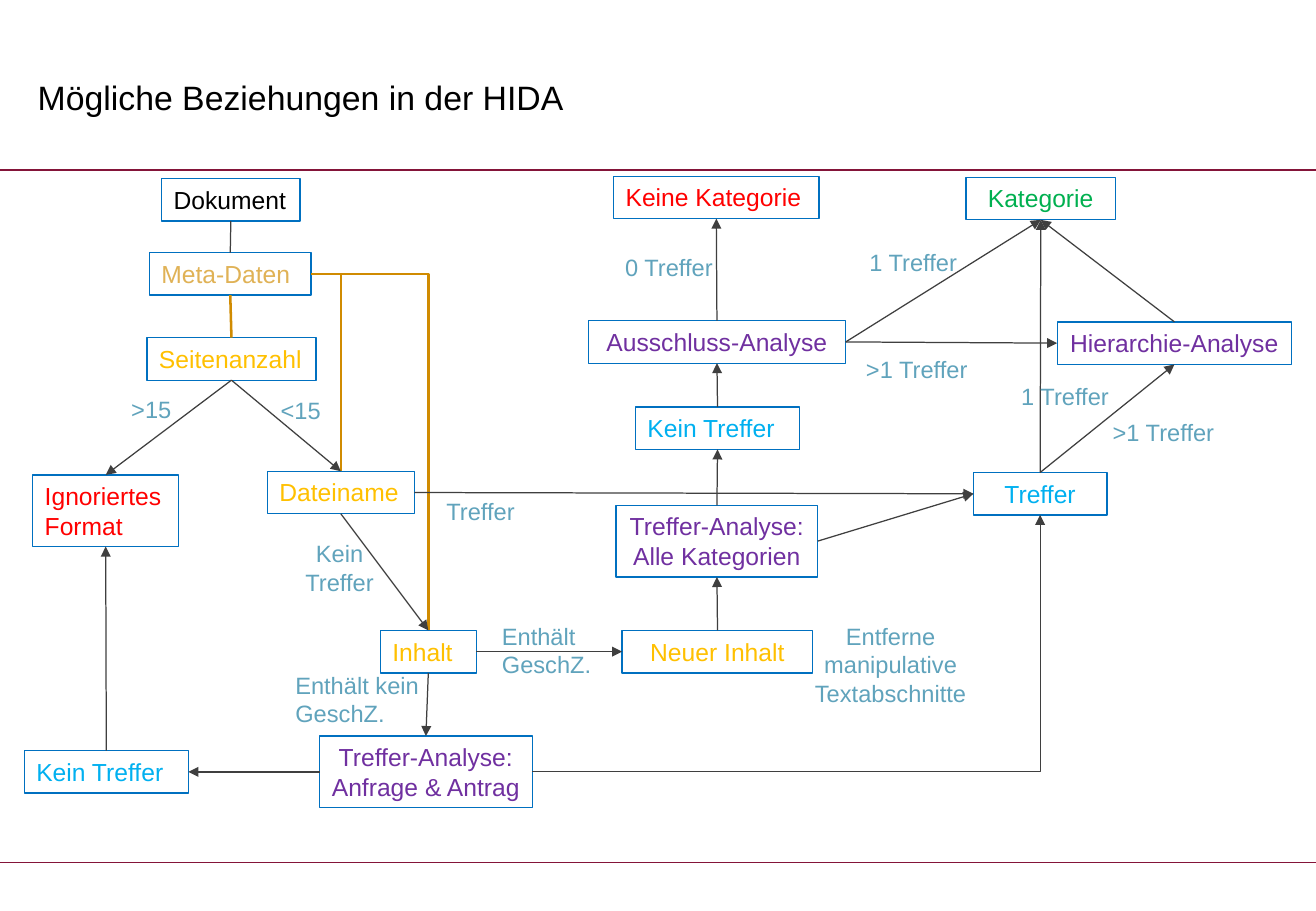
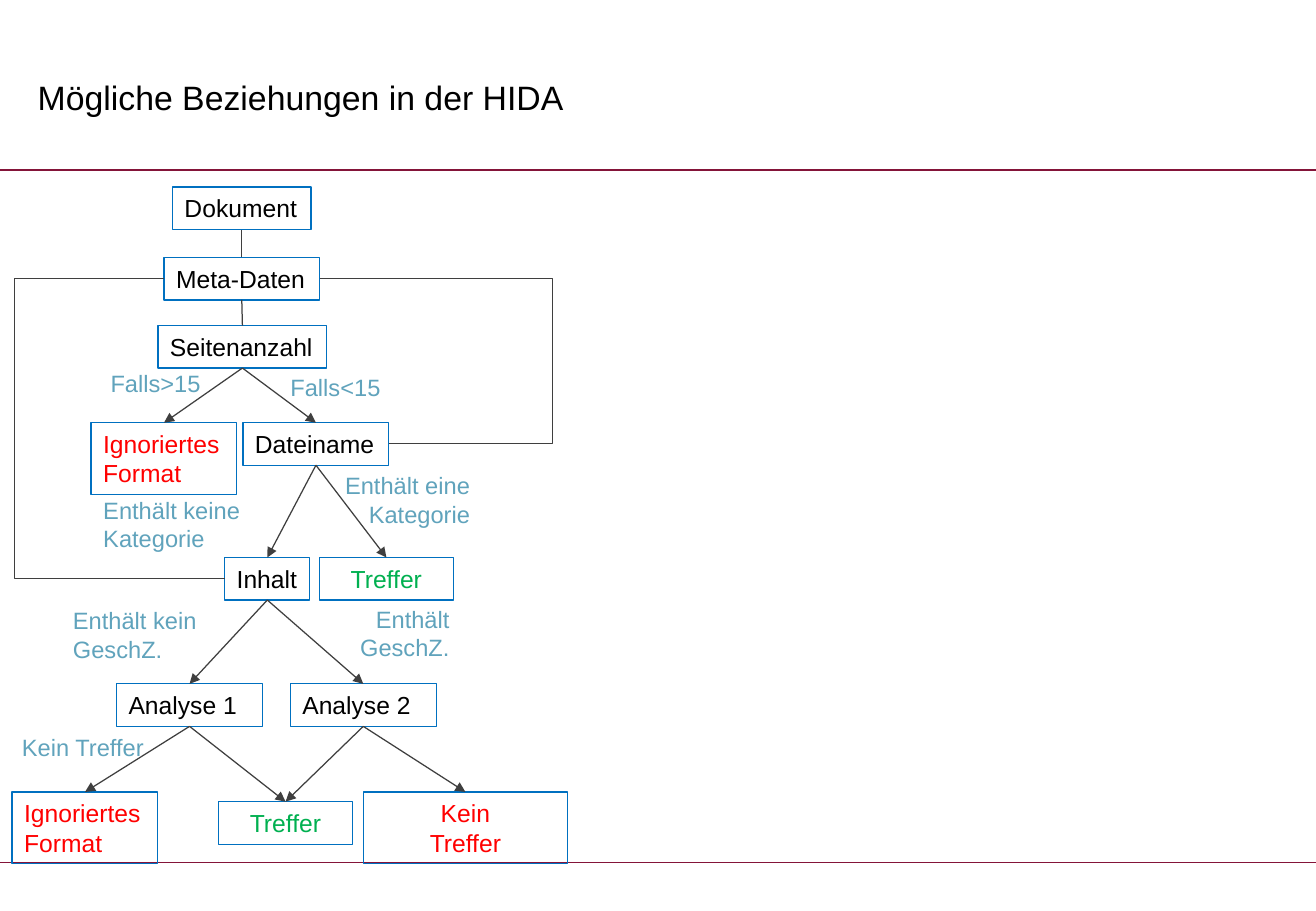
from copy import deepcopy
from dataclasses import dataclass

from lxml.etree import SubElement
from pptx import Presentation
from pptx.dml.color import RGBColor
from pptx.enum.shapes import MSO_CONNECTOR, MSO_SHAPE
from pptx.enum.text import MSO_ANCHOR, MSO_AUTO_SIZE, PP_ALIGN
from pptx.oxml.ns import qn
from pptx.util import Inches, Pt


@dataclass(frozen=True)
class Theme:
    font: str = "Arial"
    title_size: float = 20
    node_size: float = 14.6
    label_size: float = 14
    thin: float = 0.75
    thick: float = 1.5
    black: str = "000000"
    rule: str = "841439"
    border: str = "0070C0"
    edge: str = "3F3F3F"
    gold: str = "D08B01"
    sand: str = "E0B256"
    amber: str = "FFC000"
    red: str = "FF0000"
    green: str = "00B050"
    sky: str = "00B0F0"
    purple: str = "7030A0"
    label: str = "60A3BC"


T = Theme()
WIDTH, HEIGHT = 10.83, 7.5
RULES_Y = (7.1, 1.4)
NODE_HEIGHTS = {1: 0.35, 2: 0.59}
ALIGN = {"l": PP_ALIGN.LEFT, "c": PP_ALIGN.CENTER, "r": PP_ALIGN.RIGHT}
# Connection sites of a rectangle: index, then share of width and height
SITES = {"top": (0, 0.5, 0), "left": (1, 0, 0.5),
         "bottom": (2, 0.5, 1), "right": (3, 1, 0.5)}
TITLE = "Mögliche Beziehungen in der HIDA"

ARROW = {"arrow": True}
CORNER = {"corner": True}
GOLD = {"color": T.gold, "width": T.thick}

# nodes: key -> text, left, top, width, colour, alignment
# edges: start node, side, end node, side, format
# labels: text, left, top, width, alignment
SLIDES = [
    {
        "nodes": {
            "doc": ("Dokument", 1.33, 1.47, 1.14, T.black, "l"),
            "meta": ("Meta-Daten", 1.23, 2.08, 1.33, T.sand, "l"),
            "pages": ("Seitenanzahl", 1.21, 2.78, 1.39, T.amber, "l"),
            "ignored": ("Ignoriertes\nFormat", 0.27, 3.91, 1.2, T.red, "l"),
            "file": ("Dateiname", 2.2, 3.88, 1.21, T.amber, "l"),
            "content": ("Inhalt", 3.13, 5.19, 0.79, T.amber, "l"),
            "request": ("Treffer-Analyse:\nAnfrage & Antrag", 2.63, 6.06, 1.75, T.purple, "c"),
            "miss": ("Kein Treffer", 0.2, 6.18, 1.35, T.sky, "l"),
            "new": ("Neuer Inhalt", 5.12, 5.19, 1.57, T.amber, "c"),
            "all": ("Treffer-Analyse:\nAlle Kategorien", 5.07, 4.16, 1.66, T.purple, "c"),
            "all_miss": ("Kein Treffer", 5.23, 3.35, 1.35, T.sky, "l"),
            "exclusion": ("Ausschluss-Analyse", 4.84, 2.64, 2.12, T.purple, "c"),
            "no_category": ("Keine Kategorie", 5.05, 1.45, 1.69, T.red, "l"),
            "hit": ("Treffer", 8.01, 3.89, 1.1, T.sky, "c"),
            "hierarchy": ("Hierarchie-Analyse", 8.7, 2.65, 1.93, T.purple, "c"),
            "category": ("Kategorie", 7.95, 1.46, 1.23, T.green, "c"),
        },
        "edges": [
            ("meta", "top", "doc", "bottom", {}),
            ("pages", "top", "meta", "bottom", GOLD),
            ("meta", "right", "file", "top", GOLD | CORNER),
            ("meta", "right", "content", "top", GOLD | CORNER),
            ("pages", "bottom", "ignored", "top", ARROW),
            ("pages", "bottom", "file", "top", ARROW),
            ("file", "bottom", "content", "top", ARROW),
            ("file", "right", "hit", "left", ARROW),
            ("content", "bottom", "request", "top", ARROW),
            ("content", "right", "new", "left", ARROW),
            ("request", "right", "hit", "bottom", ARROW | CORNER),
            ("request", "left", "miss", "right", ARROW),
            ("miss", "top", "ignored", "bottom", ARROW),
            ("new", "top", "all", "bottom", ARROW),
            ("all", "right", "hit", "left", ARROW),
            ("all", "top", "all_miss", "bottom", ARROW),
            ("all_miss", "top", "exclusion", "bottom", ARROW),
            ("exclusion", "top", "no_category", "bottom", ARROW),
            ("exclusion", "right", "category", "bottom", ARROW),
            ("exclusion", "right", "hierarchy", "left", ARROW),
            ("hit", "top", "hierarchy", "bottom", ARROW),
            ("hit", "top", "category", "bottom", ARROW),
            ("hierarchy", "top", "category", "bottom", ARROW),
        ],
        "labels": [
            (">15", 1.08, 3.25, 0.38, "l"),
            ("<15", 2.31, 3.26, 0.38, "l"),
            ("Enthält kein\nGeschZ.", 2.43, 5.52, 1.09, "l"),
            ("Enthält\nGeschZ.", 4.13, 5.12, 0.79, "l"),
            ("Kein\nTreffer", 2.18, 4.44, 1.23, "c"),
            ("Treffer", 3.34, 4.09, 1.23, "c"),
            ("Entferne\nmanipulative\nTextabschnitte", 6.68, 5.12, 1.3, "c"),
            ("0 Treffer", 4.89, 2.08, 1.23, "c"),
            ("1 Treffer", 6.9, 2.04, 1.23, "c"),
            (">1 Treffer", 6.93, 2.92, 1.23, "c"),
            ("1 Treffer", 8.15, 3.14, 1.23, "c"),
            (">1 Treffer", 8.96, 3.44, 1.23, "c"),
        ],
    },
    {
        "nodes": {
            "doc": ("Dokument", 1.42, 1.54, 1.14, T.black, "l"),
            "meta": ("Meta-Daten", 1.35, 2.12, 1.28, T.black, "l"),
            "pages": ("Seitenanzahl", 1.3, 2.68, 1.39, T.black, "l"),
            "ignored": ("Ignoriertes\nFormat", 0.75, 3.48, 1.2, T.red, "l"),
            "file": ("Dateiname", 2, 3.48, 1.2, T.black, "l"),
            "content": ("Inhalt", 1.85, 4.59, 0.7, T.black, "l"),
            "hit": ("Treffer", 2.63, 4.59, 1.1, T.green, "c"),
            "first": ("Analyse 1", 0.96, 5.63, 1.2, T.black, "l"),
            "second": ("Analyse 2", 2.39, 5.63, 1.2, T.black, "l"),
            "first_miss": ("Ignoriertes\nFormat", 0.1, 6.52, 1.2, T.red, "l"),
            "both_hit": ("Treffer", 1.8, 6.6, 1.1, T.green, "c"),
            "second_miss": ("Kein\nTreffer", 2.99, 6.52, 1.68, T.red, "c"),
        },
        "edges": [
            ("meta", "top", "doc", "bottom", {}),
            ("pages", "top", "meta", "bottom", {}),
            ("meta", "right", "file", "right", {"via_x": 4.55}),
            ("meta", "left", "content", "left", {"via_x": 0.12}),
            ("pages", "bottom", "ignored", "top", ARROW),
            ("pages", "bottom", "file", "top", ARROW),
            ("file", "bottom", "content", "top", ARROW),
            ("file", "bottom", "hit", "top", ARROW),
            ("content", "bottom", "first", "top", ARROW),
            ("content", "bottom", "second", "top", ARROW),
            ("first", "bottom", "first_miss", "top", ARROW),
            ("first", "bottom", "both_hit", "top", ARROW),
            ("second", "bottom", "both_hit", "top", ARROW),
            ("second", "bottom", "second_miss", "top", ARROW),
        ],
        "labels": [
            ("Falls>15", 0.91, 3.04, 1, "l"),
            ("Falls<15", 2.39, 3.07, 1, "l"),
            ("Enthält keine\nKategorie", 0.85, 4.08, 1.2, "l"),
            ("Enthält eine\nKategorie", 2.81, 3.88, 1.06, "r"),
            ("Enthält kein\nGeschZ.", 0.6, 4.99, 1.09, "l"),
            ("Enthält\nGeschZ.", 2.91, 4.98, 0.79, "r"),
            ("Kein Treffer", 0.18, 6.03, 1.09, "l"),
        ],
    },
]


def set_text(tf, text, *, size, color, align="l", before=0, spacing=None):
    tf.word_wrap = True
    p = tf.paragraphs[0]
    p.text = text
    p.alignment = ALIGN[align]
    p.space_before = Pt(before)
    if spacing:
        p.line_spacing = spacing
    for r in p.runs:
        r.font.name = T.font
        r.font.size = Pt(size)
        r.font.color.rgb = RGBColor.from_string(color)
    for br in p._p.findall(qn("a:br")):
        br.append(deepcopy(p.runs[0]._r.rPr))


def clear_insets(tf):
    tf.margin_left = tf.margin_right = tf.margin_top = tf.margin_bottom = 0


def style_line(connector, color, width, arrow=False):
    connector.line.color.rgb = RGBColor.from_string(color)
    connector.line.width = Pt(width)
    if arrow:
        SubElement(connector.line._get_or_add_ln(), qn("a:tailEnd"), type="triangle")
    SubElement(connector._element.spPr, qn("a:effectLst"))


def prepare_layout(layout, s):
    """Place the title and move both rules from a slide into the layout."""
    title = next(ph for ph in layout.placeholders if ph.placeholder_format.idx == 0)
    title.left, title.top = Inches(0.31), Inches(0.36)
    title.width, title.height = Inches(8.15), Inches(0.92)
    tf = title.text_frame
    clear_insets(tf)
    tf.vertical_anchor = MSO_ANCHOR.MIDDLE
    tf.auto_size = MSO_AUTO_SIZE.NONE
    for y in RULES_Y:
        rule = s.shapes.add_connector(MSO_CONNECTOR.STRAIGHT, 0, Inches(y),
                                      Inches(WIDTH), Inches(y))
        style_line(rule, T.rule, T.thin)
        layout.shapes.element.append(rule._element)


def add_node(s, text, left, top, width, color, align):
    height = NODE_HEIGHTS[text.count("\n") + 1]
    sp = s.shapes.add_shape(MSO_SHAPE.RECTANGLE, Inches(left), Inches(top),
                            Inches(width), Inches(height))
    sp.shadow.inherit = False
    sp.fill.background()
    sp.line.color.rgb = RGBColor.from_string(T.border)
    sp.line.width = Pt(T.thin)
    sp.text_frame.vertical_anchor = MSO_ANCHOR.TOP
    set_text(sp.text_frame, text, size=T.node_size, color=color, align=align)
    return sp


def add_label(s, text, left, top, width, align):
    height = 0.04 + 0.22 * (text.count("\n") + 1)
    sp = s.shapes.add_textbox(Inches(left), Inches(top), Inches(width), Inches(height))
    clear_insets(sp.text_frame)
    set_text(sp.text_frame, text, size=T.label_size, color=T.label, align=align, before=3)


def site_point(sp, side):
    _, fx, fy = SITES[side]
    return int(sp.left + fx * sp.width), int(sp.top + fy * sp.height)


def add_edge(s, start, start_side, end, end_side, *, color=T.edge, width=T.thin,
             arrow=False, corner=False, via_x=None):
    """Join two nodes: straight, with one corner, or by way of the column via_x."""
    bent = corner or via_x is not None
    x1, y1 = site_point(start, start_side)
    x2, y2 = site_point(end, end_side)
    c = s.shapes.add_connector(MSO_CONNECTOR.ELBOW if bent else MSO_CONNECTOR.STRAIGHT,
                               x1, y1, x2, y2)
    c.begin_connect(start, SITES[start_side][0])
    c.end_connect(end, SITES[end_side][0])
    geom = c._element.spPr.find(qn("a:prstGeom"))
    if corner:
        geom.set("prst", "bentConnector2")
    elif bent:
        share = round((Inches(via_x) - x1) / (x2 - x1) * 100000)
        SubElement(geom.find(qn("a:avLst")), qn("a:gd"), name="adj1", fmla=f"val {share}")
    style_line(c, color, width, arrow)


def main():
    prs = Presentation()
    prs.slide_width, prs.slide_height = Inches(WIDTH), Inches(HEIGHT)
    layout = prs.slide_layouts.get_by_name("Title Only")
    for i, content in enumerate(SLIDES):
        s = prs.slides.add_slide(layout)
        if i == 0:
            prepare_layout(layout, s)
        set_text(s.shapes.title.text_frame, TITLE, size=T.title_size, color=T.black,
                 spacing=0.9)
        nodes = {key: add_node(s, *node) for key, node in content["nodes"].items()}
        for start, start_side, end, end_side, fmt in content["edges"]:
            add_edge(s, nodes[start], start_side, nodes[end], end_side, **fmt)
        for label in content["labels"]:
            add_label(s, *label)
    prs.save("out.pptx")


if __name__ == "__main__":
    main()
